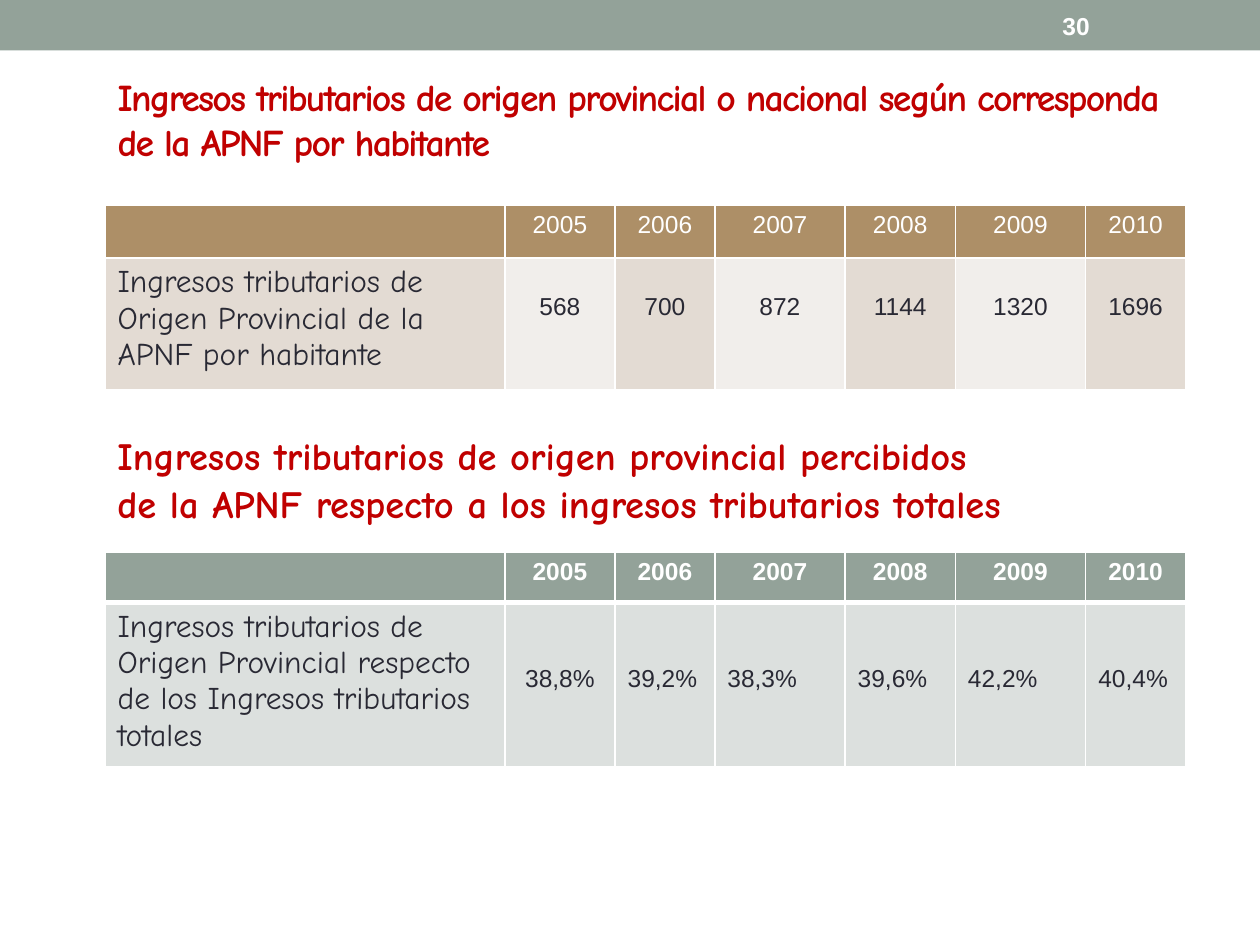
from lxml.etree import SubElement
from pptx import Presentation
from pptx.dml.color import RGBColor
from pptx.enum.shapes import MSO_SHAPE as Shape
from pptx.enum.text import MSO_ANCHOR as Anchor, MSO_AUTO_SIZE as AutoSize, PP_ALIGN as Align
from pptx.oxml.ns import qn
from pptx.util import Pt

SANS, COMIC = "Arial", "Comic Neue"
RED, INK, WHITE, SAGE, TAN = "C00000", "292934", "FFFFFF", "93A299", "AD8F67"
TITLE = "Ingresos tributarios de origen provincial o nacional según corresponda de la APNF por habitante"
SUBTITLE = [
    "Ingresos tributarios de origen provincial percibidos",
    "de la APNF respecto a los ingresos tributarios totales",
]
PAGE_NUMBER = "30"
YEARS = ["2005", "2006", "2007", "2008", "2009", "2010"]
LEFT = 60
COLUMN_WIDTHS = [228.5, 63, 57, 74.5, 63, 74.5, 57]
TABLES = [
    {
        "top": 117, "heights": [30.5, 75.5], "header": TAN, "bands": ["E3DBD3", "F1EEEB"],
        "bold": False, "rule": 1, "value_top": 20,
        "label": "Ingresos tributarios de Origen Provincial de la APNF por habitante",
        "values": ["568", "700", "872", "1144", "1320", "1696"],
        "aligns": [Align.CENTER] * 6,
    },
    {
        "top": 315.5, "heights": [28, 94], "header": SAGE, "bands": ["DCE0DE"],
        "bold": True, "rule": 3, "value_top": 36,
        "label": "Ingresos tributarios de Origen Provincial respecto de los Ingresos tributarios totales",
        "values": ["38,8%", "39,2%", "38,3%", "39,6%", "42,2%", "40,4%"],
        "aligns": [Align.CENTER] + [Align.LEFT] * 5,
    },
]


def color(hex_value):
    return RGBColor.from_string(hex_value)


def style(frame, font, size, ink, bold=False, align=Align.LEFT):
    for paragraph in frame.paragraphs:
        paragraph.alignment = align
        for run in paragraph.runs:
            run.font.name, run.font.size, run.font.bold = font, Pt(size), bold
            run.font.color.rgb = color(ink)


def add_text(slide, box, text, anchor, *look):
    frame = slide.shapes.add_textbox(*map(Pt, box)).text_frame
    frame.text = text
    frame.word_wrap = True
    frame.vertical_anchor = anchor
    style(frame, *look)
    return frame


def paint_cell(cell, fill, top_rule, bottom_rule):
    properties = cell._tc.get_or_add_tcPr()
    for side, width in (("L", 1), ("R", 1), ("T", top_rule), ("B", bottom_rule)):
        border = SubElement(properties, qn(f"a:ln{side}"), w=str(Pt(width)))
        SubElement(SubElement(border, qn("a:solidFill")), qn("a:srgbClr"), val=WHITE)
    cell.fill.solid()
    cell.fill.fore_color.rgb = color(fill)


def add_income_table(slide, data):
    table = slide.shapes.add_table(
        2, len(COLUMN_WIDTHS), Pt(LEFT), Pt(data["top"]),
        Pt(sum(COLUMN_WIDTHS)), Pt(sum(data["heights"]))).table
    for row, height in zip(table.rows, data["heights"]):
        row.height = Pt(height)
    contents = zip([""] + YEARS, [data["label"]] + data["values"], [Align.LEFT] + data["aligns"])
    for index, (year, value, align) in enumerate(contents):
        table.columns[index].width = Pt(COLUMN_WIDTHS[index])
        header, body = table.cell(0, index), table.cell(1, index)
        header.text, body.text = year, value
        style(header.text_frame, SANS, 14, WHITE, data["bold"], Align.CENTER)
        if index == 0:
            style(body.text_frame, COMIC, 18, INK)
        else:
            style(body.text_frame, SANS, 14, INK, False, align)
            body.margin_top = Pt(data["value_top"])
        paint_cell(header, data["header"], 1, data["rule"])
        paint_cell(body, data["bands"][index % len(data["bands"])], data["rule"], 1)


def main():
    deck = Presentation()
    deck.slide_width, deck.slide_height = Pt(720), Pt(540)
    slide = deck.slides.add_slide(deck.slide_layouts[5])

    title = slide.shapes.title
    title.left, title.top, title.width, title.height = map(Pt, (LEFT, 23, 624, 90))
    title.text_frame.text = TITLE
    title.text_frame.word_wrap = True
    title.text_frame.auto_size = AutoSize.NONE
    title.text_frame.vertical_anchor = Anchor.MIDDLE
    style(title.text_frame, COMIC, 21.6, RED, True)
    title.text_frame.paragraphs[0].runs[0].font._element.set("spc", "-100")

    band = slide.shapes.add_shape(Shape.RECTANGLE, 0, 0, deck.slide_width, Pt(28.8))
    band.shadow.inherit = False
    band.fill.solid()
    band.fill.fore_color.rgb = color(SAGE)
    band.line.fill.background()

    add_text(slide, (600, 1.5, 84, 26), PAGE_NUMBER, Anchor.MIDDLE, SANS, 14, WHITE, True)
    subtitle = add_text(slide, (LEFT, 243.5, 629, 60), "\n".join(SUBTITLE),
                        Anchor.TOP, COMIC, 22, RED, True)
    subtitle.paragraphs[1].space_before = Pt(1)

    for data in TABLES:
        add_income_table(slide, data)
    deck.save("out.pptx")


if __name__ == "__main__":
    main()
